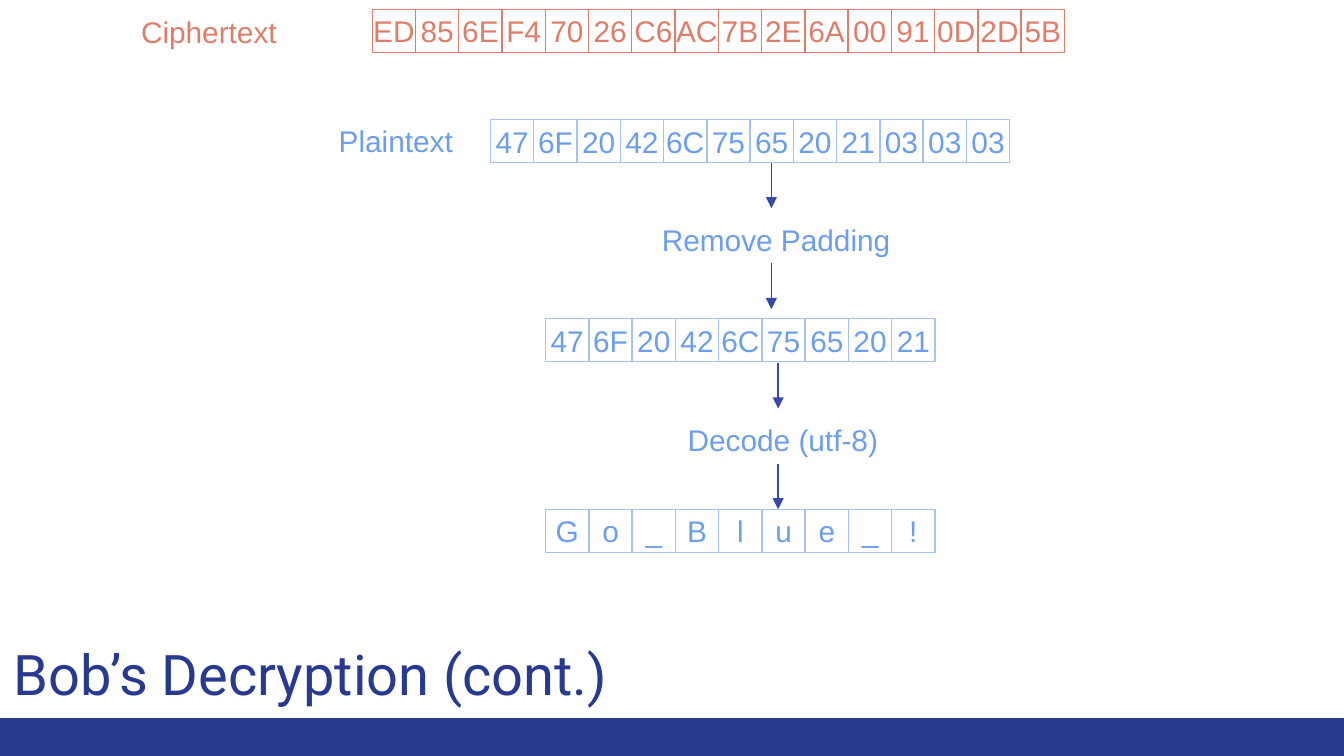
from lxml import etree
from pptx import Presentation
from pptx.dml.color import RGBColor
from pptx.enum.shapes import MSO_CONNECTOR, MSO_SHAPE
from pptx.enum.text import MSO_ANCHOR, MSO_AUTO_SIZE, PP_ALIGN
from pptx.oxml.ns import qn
from pptx.util import Inches, Pt

RECTANGLE = MSO_SHAPE.RECTANGLE
STRAIGHT = MSO_CONNECTOR.STRAIGHT
TOP, MIDDLE = MSO_ANCHOR.TOP, MSO_ANCHOR.MIDDLE
LEFT, CENTER = PP_ALIGN.LEFT, PP_ALIGN.CENTER
NO_AUTOFIT = MSO_AUTO_SIZE.NONE

NAVY = RGBColor(0x2A, 0x39, 0x90)
INDIGO = RGBColor(0x39, 0x49, 0xAB)
CORAL = RGBColor(0xDD, 0x7E, 0x6B)
BLUE = RGBColor(0x6D, 0x9E, 0xEB)
PALE_BLUE = RGBColor(0xA4, 0xC2, 0xF4)

TITLE = "Bob’s Decryption (cont.)"
BYTE_ROWS = [
    ("ED 85 6E F4 70 26 C6 AC 7B 2E 6A 00 91 0D 2D 5B", 2.77, 0.07, CORAL, CORAL),
    ("47 6F 20 42 6C 75 65 20 21 03 03 03", 3.65, 0.89, BLUE, PALE_BLUE),
    ("47 6F 20 42 6C 75 65 20 21", 4.06, 2.37, BLUE, PALE_BLUE),
    ("G o _ B l u e _ !", 4.06, 3.79, BLUE, PALE_BLUE),
]
LABELS = [
    ("Ciphertext", 0.37, 0, 2.37, CORAL),
    ("Plaintext", 1.9, 0.81, 2.09, BLUE),
    ("Remove Padding", 3.78, 1.55, 3.99, BLUE),
    ("Decode (utf-8)", 3.83, 3.04, 3.99, BLUE),
]
ARROWS = [(5.74, 1.21), (5.74, 1.96), (5.79, 2.7), (5.79, 3.45)]

SLIDE_WIDTH = 10
SLIDE_HEIGHT = SLIDE_WIDTH * 9 / 16
BAR_HEIGHT = SLIDE_HEIGHT / 20
CELL = 5.15 / 16
LABEL_HEIGHT = 0.47
LABEL_INSET = 0.1
ARROW_LENGTH = 0.34
LINE_WIDTH = Pt(0.75)


def write(shape, text, color, size=16, font="Arial", align=CENTER, anchor=TOP, inset=LABEL_INSET):
    frame = shape.text_frame
    frame.text = text
    frame.word_wrap = True
    frame.auto_size = NO_AUTOFIT
    frame.vertical_anchor = anchor
    frame.margin_left = frame.margin_right = Inches(inset)
    frame.margin_top = frame.margin_bottom = Inches(inset)
    para = frame.paragraphs[0]
    para.alignment = align
    span = para.runs[0]
    span.font.name = font
    span.font.size = Pt(size)
    span.font.color.rgb = color


def add_rectangle(shapes, left, top, width, height):
    box = shapes.add_shape(RECTANGLE, Inches(left), Inches(top), Inches(width), Inches(height))
    box.shadow.inherit = False
    return box


def add_byte_row(page, values, left, top, color, border):
    row = page.shapes.add_group_shape()
    for column, value in enumerate(values.split()):
        box = add_rectangle(row.shapes, left + column * CELL, top, CELL, CELL)
        box.fill.background()
        box.line.color.rgb = border
        box.line.width = LINE_WIDTH
        write(box, value, color, anchor=MIDDLE, inset=0)


def add_label(page, text, left, top, width, color):
    box = page.shapes.add_textbox(Inches(left), Inches(top), Inches(width), Inches(LABEL_HEIGHT))
    write(box, text, color)


def add_arrow(page, x, top):
    arrow = page.shapes.add_connector(
        STRAIGHT, Inches(x), Inches(top), Inches(x), Inches(top + ARROW_LENGTH))
    arrow.line.color.rgb = INDIGO
    arrow.line.width = LINE_WIDTH
    etree.SubElement(arrow.line._get_or_add_ln(), qn("a:tailEnd"), type="triangle")
    etree.SubElement(arrow._element.spPr, qn("a:effectLst"))


def main():
    deck = Presentation()
    deck.slide_width = Inches(SLIDE_WIDTH)
    deck.slide_height = Inches(SLIDE_HEIGHT)
    page = deck.slides.add_slide(deck.slide_layouts[5])

    bar = add_rectangle(page.shapes, 0, SLIDE_HEIGHT - BAR_HEIGHT, SLIDE_WIDTH, BAR_HEIGHT)
    bar.fill.solid()
    bar.fill.fore_color.rgb = NAVY
    bar.line.fill.background()

    title = page.shapes.title
    title.left, title.top = Inches(0), Inches(4.66)
    title.width, title.height = Inches(4.94), Inches(0.66)
    write(title, TITLE, NAVY, size=30, font="Roboto", align=LEFT)

    for row in BYTE_ROWS:
        add_byte_row(page, *row)
    for label in LABELS:
        add_label(page, *label)
    for arrow in ARROWS:
        add_arrow(page, *arrow)

    deck.save("out.pptx")


if __name__ == "__main__":
    main()
